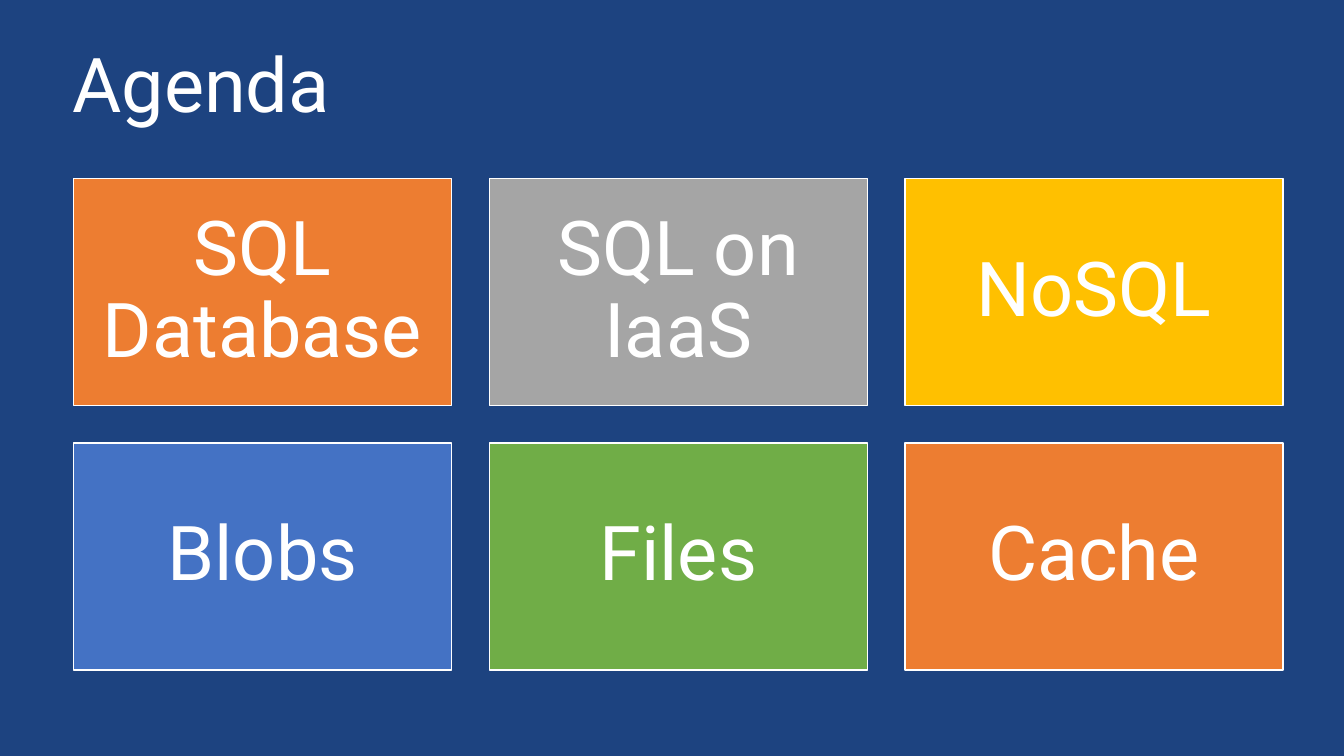
from dataclasses import dataclass

from pptx import Presentation
from pptx.dml.color import RGBColor
from pptx.enum.shapes import MSO_SHAPE as Shape
from pptx.enum.text import MSO_ANCHOR as Anchor, MSO_AUTO_SIZE as Fit, PP_ALIGN as Align
from pptx.util import Pt

PX = 9525  # EMU per px, 96 px to the inch
COLS = 3
LEFT, TOP = 70, 170
WIDE, HIGH = 360, 216
GAP = 36

HUES = {
    "back": "1D4380",
    "white": "FFFFFF",
    "orange": "ED7D31",
    "gray": "A5A5A5",
    "gold": "FFC000",
    "blue": "4472C4",
    "green": "70AD47",
}


@dataclass(frozen=True)
class Tile:
    text: str
    hue: str


TILES = [
    Tile("SQL Database", "orange"),
    Tile("SQL on IaaS", "gray"),
    Tile("NoSQL", "gold"),
    Tile("Blobs", "blue"),
    Tile("Files", "green"),
    Tile("Cache", "orange"),
]


def rgb(hue: str) -> RGBColor:
    return RGBColor.from_string(HUES[hue])


def apply(item, form: dict) -> None:
    for name, value in form.items():
        setattr(item, name, value)


def write(shape, text: str, align: Align, anchor: Anchor, inset: int) -> None:
    frame = shape.text_frame
    frame.text = text
    sides = ("left", "top", "right", "bottom")
    apply(frame, {f"margin_{side}": inset * PX for side in sides})
    apply(frame, {"word_wrap": True, "auto_size": Fit.NONE, "vertical_anchor": anchor})
    para = frame.paragraphs[0]
    apply(para, {"alignment": align, "line_spacing": 0.9})
    font = para.runs[0].font
    apply(font, {"name": "Roboto", "size": Pt(54), "bold": False})
    font.color.rgb = rgb("white")


def draw(slide, tile: Tile, left: int, top: int) -> None:
    box = slide.shapes.add_shape(
        Shape.RECTANGLE, left * PX, top * PX, WIDE * PX, HIGH * PX)
    box.shadow.inherit = False
    box.fill.solid()
    box.fill.fore_color.rgb = rgb(tile.hue)
    box.line.color.rgb = rgb("white")
    box.line.width = Pt(1)
    write(box, tile.text, Align.CENTER, Anchor.MIDDLE, 22)


def main() -> None:
    deck = Presentation()
    apply(deck, {"slide_width": 1280 * PX, "slide_height": 720 * PX})
    slide = deck.slides.add_slide(deck.slide_layouts[5])

    # Background
    fill = slide.background.fill
    fill.solid()
    fill.fore_color.rgb = rgb("back")

    # Title
    title = slide.shapes.title
    apply(title, {"left": 59 * PX, "top": 35 * PX,
                  "width": 1164 * PX, "height": 101 * PX})
    write(title, "Agenda", Align.LEFT, Anchor.TOP, 10)

    # Grid of topics
    for i, tile in enumerate(TILES):
        row, col = divmod(i, COLS)
        draw(slide, tile, LEFT + col * (WIDE + GAP), TOP + row * (HIGH + GAP))

    deck.save("out.pptx")


if __name__ == "__main__":
    main()
